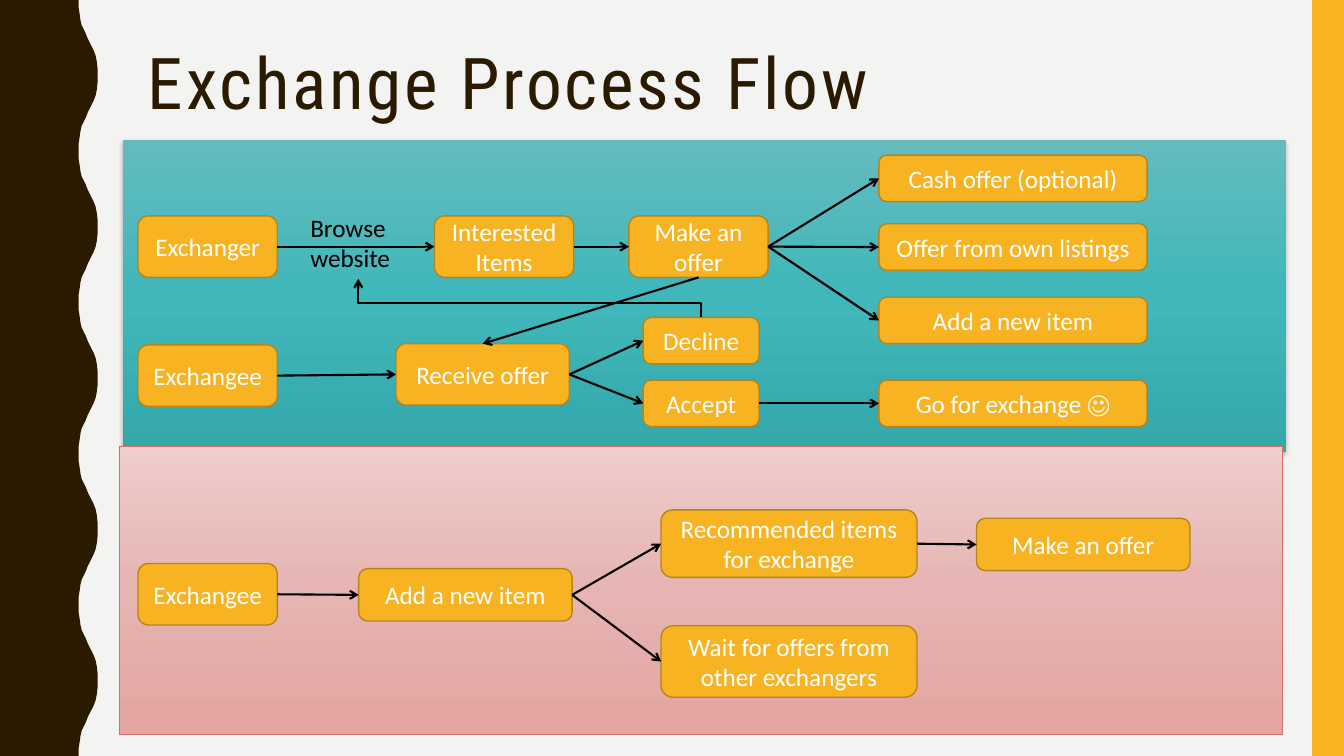
"""Build the Exchange Process Flow slide."""
from copy import deepcopy
from dataclasses import dataclass
from typing import Any, NamedTuple

from lxml.etree import SubElement
from pptx import Presentation
from pptx.dml.color import RGBColor as Rgb
from pptx.enum.shapes import MSO_CONNECTOR as Link, MSO_SHAPE as Shape
from pptx.enum.text import MSO_ANCHOR as Anchor, PP_ALIGN as Align
from pptx.oxml.ns import qn
from pptx.util import Cm, Pt


@dataclass(frozen=True)
class Theme:
    background: str = "F3F3F2"
    dark: str = "2A1A00"
    accent: str = "F8B323"
    accent_edge: str = "B7841A"
    black: str = "000000"
    white: str = "FFFFFF"
    teal: tuple[str, ...] = ("64BBBE", "40B7BB", "34A8AB")
    rose: tuple[str, ...] = ("EECDCB", "E6B4B2", "E4A4A1")
    rose_edge: str = "D36F68"
    heading_font: str = "Roboto Condensed"
    body_font: str = "Calibri"
    heading_size: int = 51
    body_size: int = 18


class Box(NamedTuple):
    left: float
    top: float
    width: float
    height: float

    def lengths(self) -> list[Cm]:
        return [Cm(value) for value in self]


class Step(NamedTuple):
    text: str
    box: Box


class Arrow(NamedTuple):
    start: str
    end: str
    start_site: int = 3
    end_site: int = 1


THEME = Theme()
SLIDE_WIDTH, SLIDE_HEIGHT = 33.87, 19.05
TOP, LEFT, BOTTOM, RIGHT = range(4)
ROLE, OPTION, CHOICE = (3.51, 1.55), (6.76, 1.17), (2.92, 1.17)
ITEM = (5.38, 1.32)
ROLE_LEFT, OFFER_LEFT, CHOICE_LEFT, OPTION_LEFT, RESULT_LEFT = 3.48, 15.85, 16.21, 22.15, 16.66

STEPS = {
    "exchanger": Step("Exchanger", Box(ROLE_LEFT, 5.44, *ROLE)),
    "interested": Step("Interested Items", Box(10.95, 5.44, *ROLE)),
    "offer": Step("Make an offer", Box(OFFER_LEFT, 5.44, *ROLE)),
    "cash": Step("Cash offer (optional)", Box(OPTION_LEFT, 3.91, *OPTION)),
    "listings": Step("Offer from own listings", Box(OPTION_LEFT, 5.64, *OPTION)),
    "new item": Step("Add a new item", Box(OPTION_LEFT, 7.49, *OPTION)),
    "exchangee": Step("Exchangee", Box(ROLE_LEFT, 8.69, *ROLE)),
    "receive": Step("Receive offer", Box(9.98, 8.66, 4.37, 1.55)),
    "decline": Step("Decline", Box(CHOICE_LEFT, 8, *CHOICE)),
    "accept": Step("Accept", Box(CHOICE_LEFT, 9.58, *CHOICE)),
    "exchange": Step("Go for exchange \u263a", Box(OPTION_LEFT, 9.58, *OPTION)),
    "lister": Step("Exchangee", Box(ROLE_LEFT, 14.2, *ROLE)),
    "listed item": Step("Add a new item", Box(9.04, 14.33, *ITEM)),
    "recommended": Step("Recommended items for exchange", Box(RESULT_LEFT, 12.85, 6.45, 1.7)),
    "wait": Step("Wait for offers from other exchangers", Box(RESULT_LEFT, 15.77, 6.45, 1.8)),
    "final offer": Step("Make an offer", Box(24.61, 13.06, *ITEM)),
}
ARROWS = [
    Arrow("exchanger", "interested"),
    Arrow("interested", "offer"),
    *(Arrow("offer", option) for option in ("cash", "listings", "new item")),
    Arrow("exchangee", "receive"),
    Arrow("offer", "receive", BOTTOM, TOP),
    *(Arrow("receive", choice) for choice in ("decline", "accept")),
    Arrow("accept", "exchange"),
    Arrow("lister", "listed item"),
    *(Arrow("listed item", result) for result in ("recommended", "wait")),
    Arrow("recommended", "final offer"),
]
BROWSE = Box(7.57, 5.23, 2.92, 1.8)
WAVE_COUNT = 5
HALF_WAVE = [
    (1.98, 0), (1.98, 0.18), (2.01, 0.36), (2.03, 0.51), (2.06, 0.64),
    (2.11, 0.74), (2.16, 0.84), (2.21, 0.97), (2.26, 1.07), (2.31, 1.17),
    (2.36, 1.27), (2.41, 1.4), (2.44, 1.55), (2.46, 1.73), (2.46, 1.9),
]


def paint(shape: Any, fill: str | tuple[str, ...], edge: str = "", weight: float = 1) -> None:
    shape.shadow.inherit = False
    if isinstance(fill, str):
        shape.fill.solid()
        shape.fill.fore_color.rgb = Rgb.from_string(fill)
    else:
        shape.fill.gradient()
        shape.fill.gradient_angle = 270
        stop_list = shape._element.spPr.find(".//" + qn("a:gsLst"))
        stop_list.insert(1, deepcopy(stop_list[0]))
        for index, (stop, color) in enumerate(zip(shape.fill.gradient_stops, fill)):
            stop.position = index / (len(fill) - 1)
            stop.color.rgb = Rgb.from_string(color)
    if edge:
        shape.line.color.rgb = Rgb.from_string(edge)
        shape.line.width = Pt(weight)
    else:
        shape.line.fill.background()


def write(shape: Any, text: str, color: str, align: Align, anchor: Anchor,
          font_name: str = THEME.body_font, size: int = THEME.body_size) -> Any:
    frame = shape.text_frame
    paragraph = frame.paragraphs[0]
    run = paragraph.add_run()
    run.text = text
    run.font.color.rgb = Rgb.from_string(color)
    formats = {
        frame: {"word_wrap": True, "vertical_anchor": anchor},
        paragraph: {"alignment": align},
        run.font: {"name": font_name, "size": Pt(size)},
    }
    for target, values in formats.items():
        for name, value in values.items():
            setattr(target, name, value)
    return paragraph


def add_panel(slide: Any, box: Box, fill: str | tuple[str, ...], edge: str = "") -> Any:
    panel = slide.shapes.add_shape(Shape.RECTANGLE, *box.lengths())
    paint(panel, fill, edge, 0.5)
    return panel


def add_shadow(shape: Any) -> None:
    effects = shape._element.spPr.find(qn("a:effectLst"))
    shadow = SubElement(effects, qn("a:outerShdw"), blurRad=str(Pt(3)), dist=str(Pt(2)),
                        dir="5400000", rotWithShape="0")
    color = SubElement(shadow, qn("a:srgbClr"), val=THEME.black)
    SubElement(color, qn("a:alpha"), val="25000")


def add_wave(slide: Any) -> None:
    period = SLIDE_HEIGHT / WAVE_COUNT
    wave = HALF_WAVE + [(x, period - y) for x, y in reversed(HALF_WAVE[:-1])]
    edge = [(Cm(x), Cm(y + number * period)) for number in range(WAVE_COUNT) for x, y in wave]
    builder = slide.shapes.build_freeform(0, 0)
    builder.add_line_segments([*edge, (0, Cm(SLIDE_HEIGHT))], close=True)
    paint(builder.convert_to_shape(), THEME.dark)


def add_step(slide: Any, step: Step) -> Any:
    shape = slide.shapes.add_shape(Shape.FLOWCHART_ALTERNATE_PROCESS, *step.box.lengths())
    paint(shape, THEME.accent, THEME.accent_edge)
    write(shape, step.text, THEME.white, Align.CENTER, Anchor.MIDDLE)
    return shape


def add_arrow(slide: Any, kind: Link = Link.STRAIGHT, ends: tuple[int, ...] = (0, 0, 0, 0)) -> Any:
    connector = slide.shapes.add_connector(kind, *ends)
    connector.line.color.rgb = Rgb.from_string(THEME.black)
    connector.line.width = Pt(1.5)
    SubElement(connector.line._get_or_add_ln(), qn("a:tailEnd"), type="arrow")
    SubElement(connector._element.spPr, qn("a:effectLst"))
    return connector


def add_return_arrow(slide: Any, start: Box, end: Box) -> None:
    start_x, start_y = start.left + start.width / 2, start.top
    end_x, end_y = end.left + end.width / 2, end.top + end.height
    middle_x, middle_y = (start_x + end_x) / 2, (start_y + end_y) / 2
    across, up = (start_x - end_x) / 2, (start_y - end_y) / 2
    ends = (middle_x - up, middle_y + across, middle_x + up, middle_y - across)
    connector = add_arrow(slide, Link.ELBOW, tuple(Cm(value) for value in ends))
    properties = connector._element.spPr
    properties.find(qn("a:xfrm")).set("rot", "16200000")
    guides = properties.find(qn("a:prstGeom")).get_or_add_avLst()
    SubElement(guides, qn("a:gd"), name="adj1", fmla="val 38400")


def main() -> None:
    presentation = Presentation()
    presentation.slide_width, presentation.slide_height = Cm(SLIDE_WIDTH), Cm(SLIDE_HEIGHT)
    slide = presentation.slides.add_slide(presentation.slide_layouts[6])
    slide.background.fill.solid()
    slide.background.fill.fore_color.rgb = Rgb.from_string(THEME.background)
    add_wave(slide)
    add_panel(slide, Box(33.07, 0, 0.8, SLIDE_HEIGHT), THEME.accent)
    add_shadow(add_panel(slide, Box(3.1, 3.53, 29.31, 7.87), THEME.teal))
    add_panel(slide, Box(3, 11.25, 29.31, 7.26), THEME.rose, THEME.rose_edge)
    title = slide.shapes.add_textbox(*Box(3.48, 1.07, 28.27, 4.14).lengths())
    heading = write(title, "Exchange Process Flow", THEME.dark, Align.LEFT, Anchor.TOP,
                    THEME.heading_font, THEME.heading_size)
    heading.line_spacing = 0.9
    heading.runs[0].font._element.set("spc", "200")
    shapes = {name: add_step(slide, step) for name, step in STEPS.items()}
    browse = slide.shapes.add_textbox(*BROWSE.lengths())
    write(browse, "Browse website", THEME.black, Align.LEFT, Anchor.TOP)
    for arrow in ARROWS:
        connector = add_arrow(slide)
        connector.begin_connect(shapes[arrow.start], arrow.start_site)
        connector.end_connect(shapes[arrow.end], arrow.end_site)
    add_return_arrow(slide, STEPS["decline"].box, BROWSE)
    presentation.save("out.pptx")


main()
